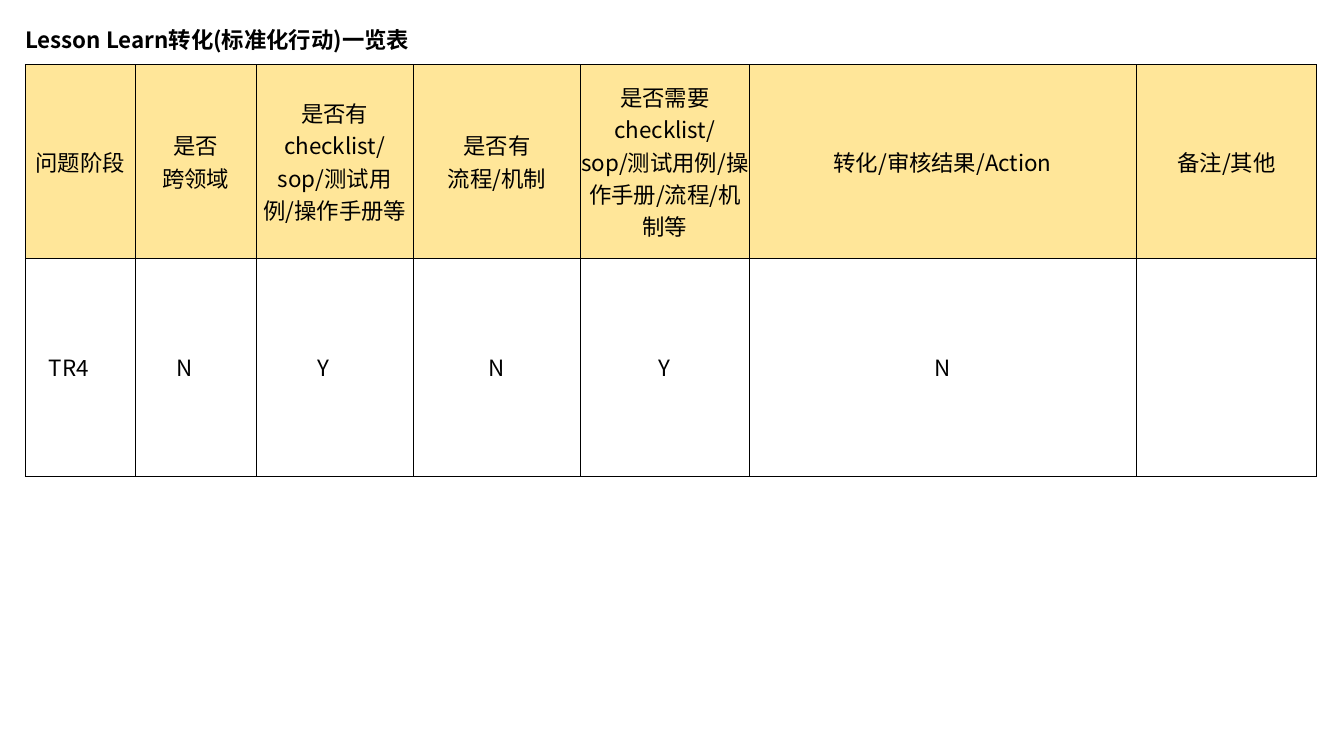
from lxml import etree
from pptx import Presentation
from pptx.dml.color import RGBColor
from pptx.enum.text import MSO_ANCHOR, PP_ALIGN
from pptx.oxml.ns import qn
from pptx.util import Inches, Pt

MIDDLE = MSO_ANCHOR.MIDDLE
LEFT, CENTER = PP_ALIGN.LEFT, PP_ALIGN.CENTER
FONT = "Noto Sans CJK SC"
BLACK, HEADER_FILL = "000000", "FFE699"
SIDES = ("L", "R", "T", "B")

TITLE = "Lesson Learn转化(标准化行动)一览表"
HEADERS = [
    "问题阶段",
    "是否\n跨领域",
    "是否有checklist/sop/测试用例/操作手册等",
    "是否有\n流程/机制",
    "是否需要checklist/sop/测试用例/操作手册/流程/机制等",
    "转化/审核结果/Action",
    "备注/其他",
]
ANSWERS = ["TR4　", "N　", "Y　", "N", "Y", "N", ""]
COLUMN_WIDTHS = [1.09, 1.2, 1.56, 1.66, 1.67, 3.84, 1.79]
ROW_HEIGHTS = [0.51, 1.26, 2.16]


def color(hex_string):
    return RGBColor.from_string(hex_string)


def set_borders(cell, drawn_sides):
    """Draw thin black lines on the given sides and clear the others."""
    properties = cell._tc.get_or_add_tcPr()
    for position, side in enumerate(SIDES):
        line = etree.Element(qn(f"a:ln{side}"), w=str(Pt(0.5)))
        if side in drawn_sides:
            fill = etree.SubElement(line, qn("a:solidFill"))
            etree.SubElement(fill, qn("a:srgbClr"), val=BLACK)
        else:
            etree.SubElement(line, qn("a:noFill"))
        properties.insert(position, line)


def format_cell(cell, text, fill=None, align=CENTER, bold=False, sides=SIDES):
    cell.text = text
    cell.vertical_anchor = MIDDLE
    cell.margin_left = cell.margin_right = cell.margin_top = cell.margin_bottom = 0
    if fill:
        cell.fill.solid()
        cell.fill.fore_color.rgb = color(fill)
    else:
        cell.fill.background()
    for para in cell.text_frame.paragraphs:
        para.alignment = align
        font = para.font
        font.name, font.size, font.bold = FONT, Pt(16), bold
        font.color.rgb = color(BLACK)
        etree.SubElement(font._element, qn("a:ea"), typeface=FONT)
    set_borders(cell, sides)


def add_action_table(page, left, top):
    width, height = Inches(sum(COLUMN_WIDTHS)), Inches(sum(ROW_HEIGHTS))
    table = page.shapes.add_table(
        len(ROW_HEIGHTS), len(COLUMN_WIDTHS), left, top, width, height
    ).table
    table.first_row = table.horz_banding = False
    for column, column_width in zip(table.columns, COLUMN_WIDTHS):
        column.width = Inches(column_width)
    for row, row_height in zip(table.rows, ROW_HEIGHTS):
        row.height = Inches(row_height)

    title_row = table.rows[0].cells
    for index, cell in enumerate(title_row):
        format_cell(cell, "" if index else TITLE, align=LEFT, bold=True, sides="B")
    table.cell(0, 0).merge(table.cell(0, len(COLUMN_WIDTHS) - 1))

    for row_index, texts, fill in ((1, HEADERS, HEADER_FILL), (2, ANSWERS, None)):
        for cell, text in zip(table.rows[row_index].cells, texts):
            format_cell(cell, text, fill)


def main():
    deck = Presentation()
    deck.slide_width, deck.slide_height = Inches(13.33), Inches(7.5)
    page = deck.slides.add_slide(deck.slide_layouts[6])
    add_action_table(page, Inches(0.25), Inches(0.13))
    deck.save("out.pptx")


if __name__ == "__main__":
    main()
